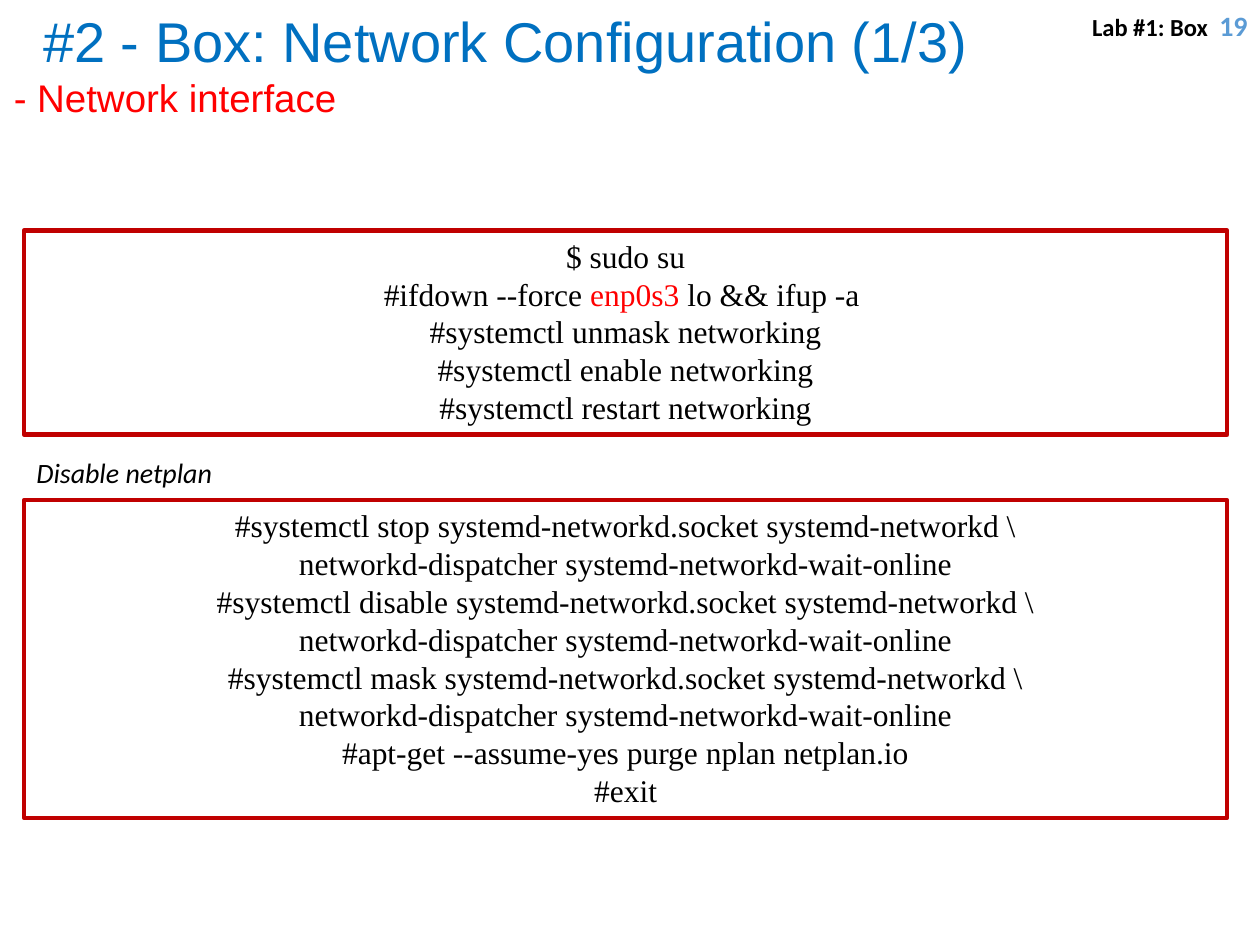
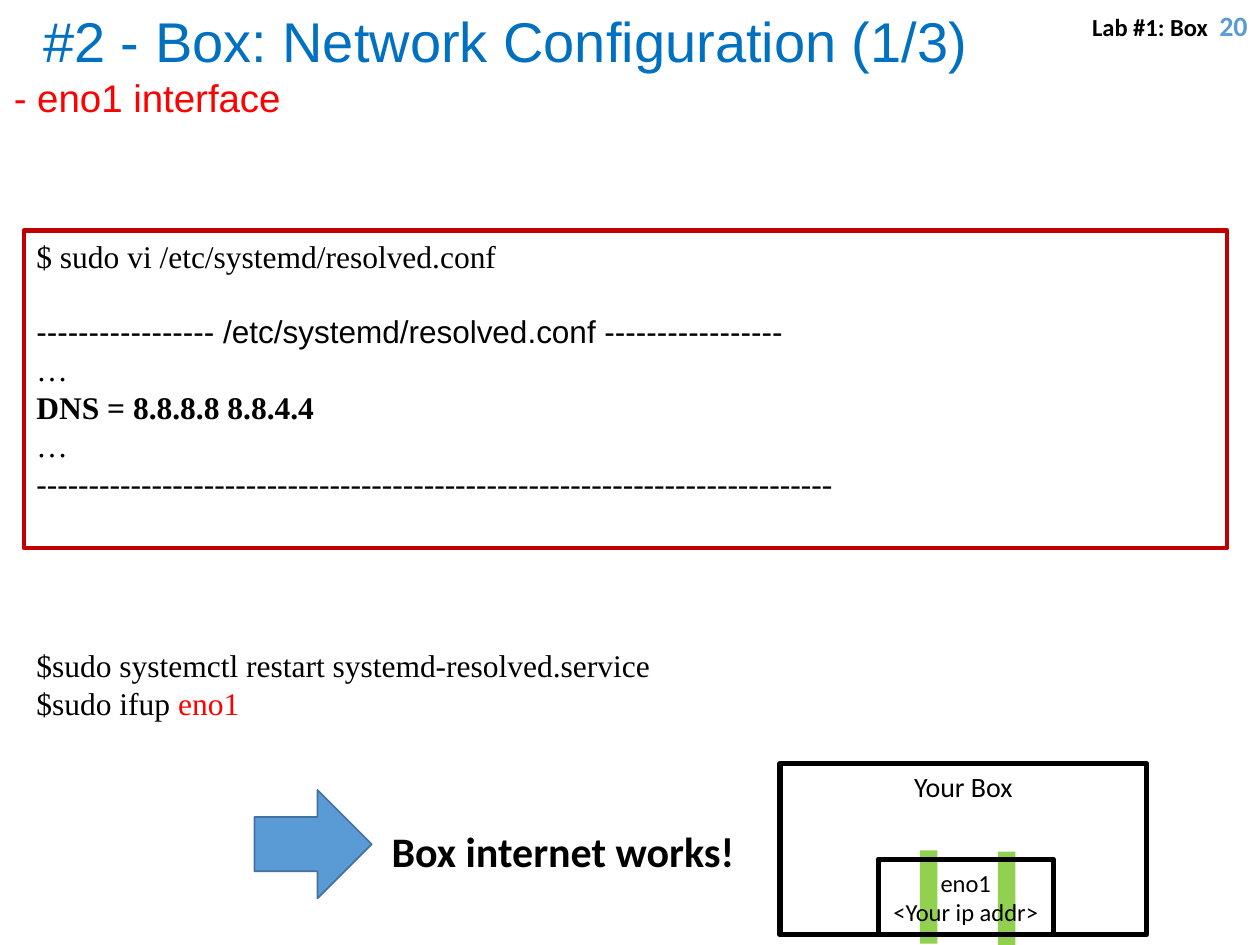
from pptx import Presentation
from pptx.dml.color import RGBColor
from pptx.enum.shapes import MSO_SHAPE as Shape
from pptx.enum.text import MSO_ANCHOR as Anchor, MSO_AUTO_SIZE as AutoSize, PP_ALIGN as Align
from pptx.util import Inches, Pt

BLACK, WHITE, RED = "000000", "FFFFFF", "FF0000"
TITLE_BLUE, ACCENT, ARROW_EDGE = "0070C0", "5B9BD5", "43739E"
FRAME_RED, CABLE_GREEN = "C00000", "92D050"
SANS, BODY, CODE = "Arial", "Calibri", "Times New Roman"
LEFT, CODE_WIDTH = 0.19, 9.55
CODE_PITCH = 21.6
TITLE = "#2 - Box: Network Configuration (1/3)"


def color(value):
    return RGBColor.from_string(value)


def span(text, size=18, font=CODE, ink=BLACK, bold=False, italic=False):
    """Describe one run of text."""
    return text, size, font, ink, bold, italic


def write(shape, lines, align=Align.LEFT, anchor=Anchor.TOP, wrap=True, pitch=None):
    """Fill a shape with paragraphs, each given as a list of spans."""
    frame = shape.text_frame
    frame.auto_size = AutoSize.NONE
    frame.word_wrap = wrap
    frame.vertical_anchor = anchor
    for index, spans in enumerate(lines):
        para = frame.add_paragraph() if index else frame.paragraphs[0]
        para.alignment = align
        if pitch:
            para.line_spacing = Pt(pitch)
        for text, size, font, ink, bold, italic in spans:
            run = para.add_run()
            run.text = text
            run.font.size, run.font.name = Pt(size), font
            run.font.bold, run.font.italic = bold, italic
            run.font.color.rgb = color(ink)
    return frame


def add_text(page, area, lines, **layout):
    box = page.shapes.add_textbox(*map(Inches, area))
    return write(box, lines, **layout)


def add_block(page, area, kind=Shape.RECTANGLE, fill=None, edge=None, width=1):
    block = page.shapes.add_shape(kind, *map(Inches, area))
    block.shadow.inherit = False
    if fill:
        block.fill.solid()
        block.fill.fore_color.rgb = color(fill)
    else:
        block.fill.background()
    if edge:
        block.line.color.rgb = color(edge)
        block.line.width = Pt(width)
    else:
        block.line.fill.background()
    return block


def add_code_box(page, top, height, lines, align):
    block = add_block(page, (LEFT, top, CODE_WIDTH, height), edge=FRAME_RED, width=2.5)
    return write(block, lines, align=align, pitch=CODE_PITCH)


def add_page(deck, subtitle, number):
    """Add a slide with the shared two-line title and the lab marker."""
    page = deck.slides.add_slide(deck.slide_layouts.get_by_name("Title Only"))
    title = page.shapes.title
    title.left, title.top, title.width, title.height = map(Inches, (0.01, 0, 8.01, 1.01))
    frame = write(title, [[span(TITLE, 32, SANS, TITLE_BLUE)],
                          [span(subtitle, 22, SANS, RED)]])
    frame.paragraphs[0].alignment = Align.CENTER
    add_text(page, (7.75, 0, 2.25, 0.4),
             [[span("Lab #1: Box  ", 14, BODY, bold=True),
               span(str(number), 16, BODY, ACCENT, bold=True)]],
             align=Align.RIGHT, anchor=Anchor.MIDDLE)
    return page


def add_box_diagram(page):
    """Draw the box with its network interface and two cables."""
    outer = add_block(page, (6.19, 6.06, 2.91, 1.36), fill=WHITE, edge=BLACK, width=3)
    write(outer, [[span("Your Box", 16, BODY)]], align=Align.CENTER)
    for left, top in ((7.3, 6.75), (7.92, 6.76)):
        add_block(page, (left, top, 0.14, 0.74), fill=CABLE_GREEN)
    interface = add_block(page, (6.97, 6.82, 1.39, 0.6), edge=BLACK, width=3)
    write(interface, [[span(text, 14, BODY)] for text in ("eno1", "<Your ip addr>")],
          align=Align.CENTER, anchor=Anchor.MIDDLE)


def build_interface_page(deck):
    page = add_page(deck, "- Network interface", 19)

    # Restart classic networking
    restart = [[span("$ sudo su")],
               [span("#ifdown --force "), span("enp0s3", ink=RED), span(" lo && ifup -a ")]]
    restart += [[span(f"#systemctl {verb} networking")]
                for verb in ("unmask", "enable", "restart")]
    add_code_box(page, 1.83, 1.62, restart, Align.CENTER)

    # Disable netplan
    disable = []
    for verb in ("stop", "disable", "mask"):
        disable.append([span(f"#systemctl {verb} systemd-networkd.socket systemd-networkd \\")])
        disable.append([span("networkd-dispatcher systemd-networkd-wait-online")])
    disable += [[span("#apt-get --assume-yes purge nplan netplan.io")], [span("#exit")]]
    add_code_box(page, 3.97, 2.52, disable, Align.CENTER)
    add_text(page, (LEFT, 3.57, 5.55, 0.37),
             [[span("Disable netplan", 16, BODY, italic=True)]])


def build_dns_page(deck):
    page = add_page(deck, "- eno1 interface", 20)

    # Resolver settings
    frame = add_code_box(page, 1.83, 2.52, [
        [span("$ sudo vi /etc/systemd/resolved.conf")],
        [span("----------------- /etc/systemd/resolved.conf -----------------", font=SANS)],
        [span("…")],
        [span("DNS = 8.8.8.8 8.8.4.4", bold=True)],
        [span("…")],
        [span("-" * 76)],
    ], Align.LEFT)
    frame.paragraphs[1].space_before = Pt(CODE_PITCH)

    # Apply the settings
    add_text(page, (LEFT, 5.08, 5.88, 0.71),
             [[span("$sudo systemctl restart systemd-resolved.service")],
              [span("$sudo ifup "), span("eno1", ink=RED)]], pitch=CODE_PITCH)

    # Result
    add_block(page, (2.02, 6.27, 0.93, 0.86), Shape.RIGHT_ARROW, ACCENT, ARROW_EDGE)
    add_text(page, (3.01, 6.5, 3.05, 0.5),
             [[span("Box internet works!", 24, BODY, bold=True)]], wrap=False)
    add_box_diagram(page)


def main():
    deck = Presentation()
    deck.slide_width, deck.slide_height = Inches(10), Inches(7.5)
    build_interface_page(deck)
    build_dns_page(deck)
    deck.save("out.pptx")


if __name__ == "__main__":
    main()
